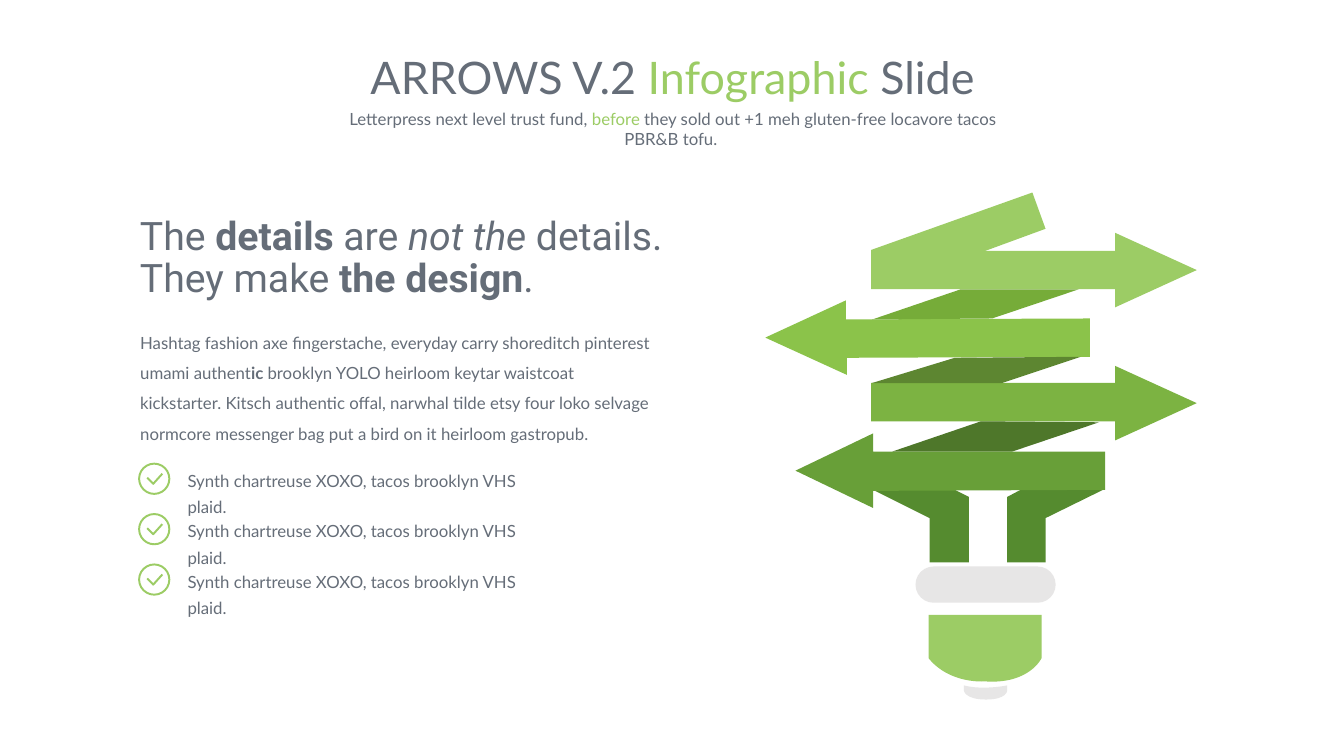
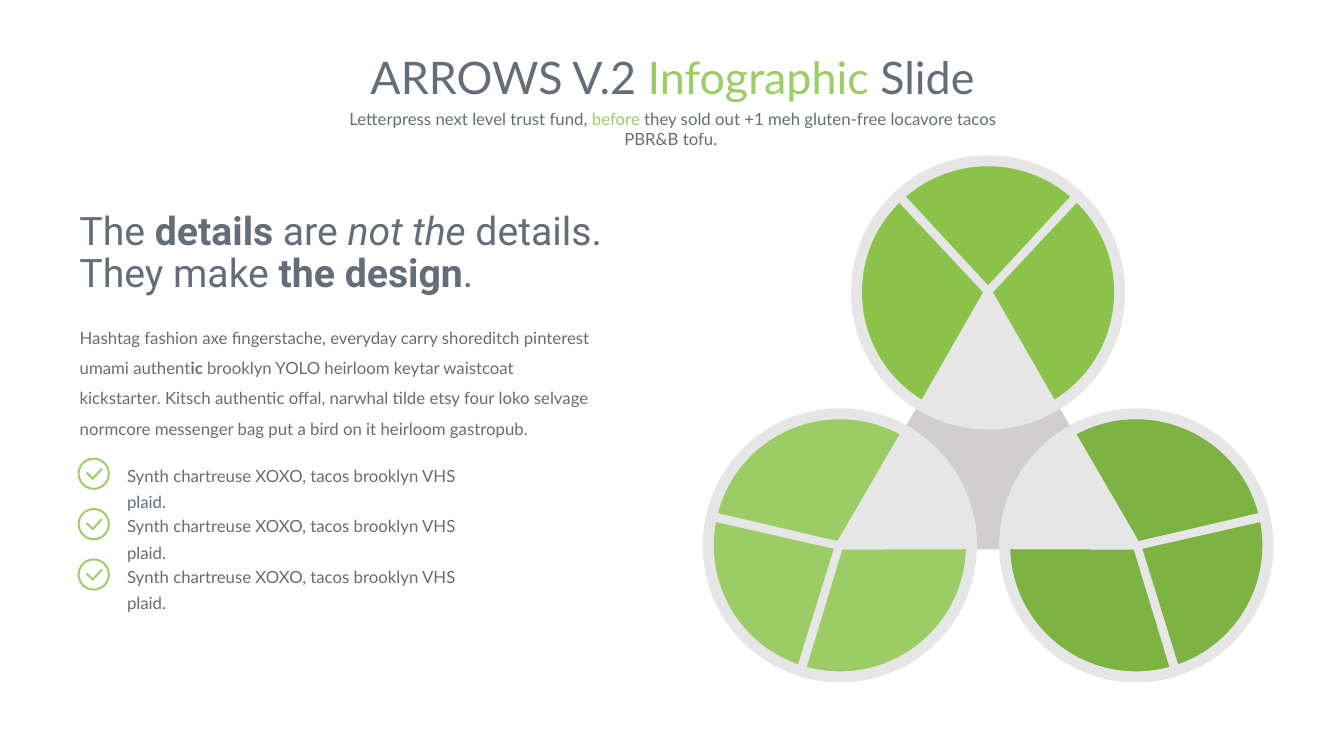
from dataclasses import dataclass
from math import cos, radians, sin, tan
from typing import NamedTuple

from lxml import etree
from pptx import Presentation
from pptx.dml.color import RGBColor
from pptx.enum.shapes import MSO_SHAPE
from pptx.enum.text import MSO_ANCHOR, MSO_AUTO_SIZE, PP_ALIGN
from pptx.oxml.ns import qn
from pptx.util import Inches, Pt

OVAL, PILL = MSO_SHAPE.OVAL, MSO_SHAPE.ROUNDED_RECTANGLE
TOP, FIXED = MSO_ANCHOR.TOP, MSO_AUTO_SIZE.NONE
LEFT, MID = PP_ALIGN.LEFT, PP_ALIGN.CENTER

COLORS = {
    "ink": "656D78", "white": "FFFFFF", "pale": "E7E6E6", "gray": "D0CECE",
    "light": "9CCC65", "lime": "8BC34A", "leaf": "7CB342", "moss": "689F38",
    "stem": "558B2F", "fold1": "76AC39", "fold2": "5D8631", "fold3": "4E772A",
}


class Run(NamedTuple):
    text: str
    color: str = "ink"
    bold: bool = False
    italic: bool = False


@dataclass
class Part:
    """An outline: pairs are corners, six numbers are a cubic curve."""
    fill: str
    points: list


@dataclass
class Disc:
    x: float
    y: float
    turn: int
    fill: str


class Slice(NamedTuple):
    dx: float
    dy: float
    start: float
    end: float


TITLE = [Run("ARROWS V.2 "), Run("Infographic ", "light"), Run("Slide")]
LEAD = [
    Run("Letterpress next level trust fund, "), Run("before", "light"),
    Run(" they sold out +1 meh gluten-free locavore tacos PBR&B tofu. "),
]
QUOTE = [
    Run("The "), Run("details", bold=True), Run(" are "),
    Run("not the ", italic=True), Run("details. They make "),
    Run("the design", bold=True), Run("."),
]
STORY = [
    Run("Hashtag fashion axe fingerstache, everyday carry shoreditch pinterest "
        "umami authent"),
    Run("ic ", bold=True),
    Run("brooklyn YOLO heirloom keytar waistcoat kickstarter. Kitsch authentic "
        "offal, narwhal tilde etsy four loko selvage normcore messenger bag "
        "put a bird on it heirloom gastropub."),
]
ITEM = [Run("Synth chartreuse XOXO, tacos brooklyn VHS plaid.")]
COUNT, STEP = 3, 0.5


# Text
def write(para, text: str, *, size=12, font="Lato", color="ink",
          bold=False, italic=False) -> None:
    run = para.add_run()
    run.text = text
    face = run.font
    face.name, face.size = font, Pt(size)
    face.bold, face.italic = bold, italic
    face.color.rgb = RGBColor.from_string(COLORS[color])


def bare(para) -> None:
    """Drop the bullet and its indent."""
    props = para._p.get_or_add_pPr()
    props.set("marL", "0")
    props.set("indent", "0")
    etree.SubElement(props, qn("a:buNone"))


def fill_in(shape, box: tuple, runs: list, align=LEFT, space=1.0,
            **style) -> None:
    shape.left, shape.top, shape.width, shape.height = map(Inches, box)
    frame = shape.text_frame
    frame.word_wrap, frame.auto_size = True, FIXED
    frame.vertical_anchor = TOP
    para = frame.paragraphs[0]
    bare(para)
    para.alignment, para.line_spacing = align, space
    para.space_before = Pt(0)
    for run in runs:
        write(para, run.text, color=run.color, bold=run.bold,
              italic=run.italic, **style)


def add_text(slide, box: tuple, runs: list, **style) -> None:
    fill_in(slide.shapes.add_textbox(0, 0, 0, 0), box, runs, **style)


# Shapes
def paint(shape, fill: str, line: str = "") -> None:
    shape.shadow.inherit = False
    shape.fill.solid()
    shape.fill.fore_color.rgb = RGBColor.from_string(COLORS[fill])
    if line:
        shape.line.color.rgb = RGBColor.from_string(COLORS[line])
        shape.line.width = Pt(1.38)
    else:
        shape.line.fill.background()


def add_form(slide, kind, x: float, y: float, wide: float, high: float,
             fill: str, line: str = ""):
    shape = slide.shapes.add_shape(
        kind, Inches(x), Inches(y), Inches(wide), Inches(high))
    paint(shape, fill, line)
    return shape


def draw(slide, points: list, fill: str, line: str = "", close=True) -> None:
    spots = [(Inches(p[i]), Inches(p[i + 1]))
             for p in points for i in range(0, len(p), 2)]
    pen = slide.shapes.build_freeform(*spots[0], scale=1.0)
    pen.add_line_segments(spots[1:], close=close)
    shape = pen.convert_to_shape()
    # Join three steps into one cubic curve
    steps = iter(list(shape._element.iter(qn("a:lnTo"))))
    for point in points[1:]:
        step = next(steps)
        if len(point) == 6:
            bend = etree.Element(qn("a:cubicBezTo"))
            step.addprevious(bend)
            for node in (step, next(steps), next(steps)):
                bend.append(node[0])
                node.getparent().remove(node)
    paint(shape, fill, line)


# Shared title and copy
def add_head(slide) -> None:
    fill_in(slide.shapes.title, (2.54, 0.44, 8.26, 0.64), TITLE,
            align=MID, size=32)
    add_text(slide, (3.2, 1.03, 6.95, 0.3), LEAD, align=MID)


def add_copy(slide, x: float, y: float) -> None:
    add_text(slide, (x, y, 5.46, 0.95), QUOTE, space=0.9, size=28,
             font="Roboto")
    *rows, story = list(slide.placeholders)[1:]
    fill_in(story, (x, y + 1.05, 5.32, 1.31), STORY, space=1.5)
    # Check list
    for i in range(COUNT):
        top = y + 2.5 + i * STEP
        fill_in(rows[i], (x + 0.47, top - 0.04, 3.55, 0.34), ITEM, space=1.3)
        add_form(slide, OVAL, x + 0.09, top, 0.3, 0.3, "white", "light")
        tick = [(x + 0.17, top + 0.14), (x + 0.23, top + 0.2),
                (x + 0.32, top + 0.1)]
        draw(slide, tick, "white", "light", close=False)


# Lamp made of arrows
LAMP = [
    Part("light", [(11.87, 2.68), (11.06, 3.05), (11.06, 2.87), (8.64, 2.87),
                   (8.64, 2.49), (11.06, 2.49), (11.06, 2.31)]),
    Part("leaf", [(11.87, 4), (11.06, 4.37), (11.06, 4.18), (8.64, 4.18),
                  (8.64, 3.8), (11.06, 3.8), (11.06, 3.63)]),
    Part("stem", [(10.96, 4.85), (10.37, 5.14), (10.37, 5.58), (9.99, 5.58),
                  (9.99, 4.93), (10.16, 4.84)]),
    Part("lime", [(7.59, 3.35), (8.39, 2.98), (8.39, 3.17), (10.81, 3.16),
                  (10.81, 3.54), (8.4, 3.55), (8.4, 3.72)]),
    Part("fold2", [(10.72, 3.54), (9.94, 3.8), (8.65, 3.8), (9.47, 3.55)]),
    Part("fold1", [(10.7, 2.87), (9.84, 3.16), (8.65, 3.17), (9.53, 2.87)]),
    Part("light", [(10.24, 1.91), (10.37, 2.27), (9.77, 2.49), (8.64, 2.49),
                   (8.64, 2.48)]),
    # Foot, left stem and cap
    Part("pale", [(9.99, 6.8), (9.99, 6.85),
                  (9.99, 6.85, 9.99, 6.94, 9.78, 6.94),
                  (9.57, 6.94, 9.56, 6.85, 9.56, 6.85), (9.56, 6.8),
                  (9.75, 6.85, 9.99, 6.8, 9.99, 6.8)]),
    Part("stem", [(9.61, 4.93), (9.61, 5.58), (9.22, 5.58), (9.22, 5.14),
                  (8.64, 4.85), (9.43, 4.84)]),
    Part("light", [(10.33, 6.53), (10.33, 6.53, 10.21, 6.79, 9.77, 6.76),
                   (9.77, 6.76, 9.42, 6.79, 9.21, 6.53), (9.21, 6.1),
                   (10.33, 6.1)]),
    Part("fold3", [(8.85, 4.48), (9.73, 4.18), (10.9, 4.19), (10.04, 4.48)]),
    Part("moss", [(7.89, 4.67), (8.66, 4.3), (8.66, 4.48), (10.96, 4.48),
                  (10.96, 4.86), (8.66, 4.87), (8.66, 5.04)]),
]


def add_lamp(slide) -> None:
    for part in LAMP:
        draw(slide, part.points, part.fill)
    collar = add_form(slide, PILL, 9.08, 5.62, 1.39, 0.36, "pale")
    collar.adjustments[0] = 0.5


# Three discs, each a turned set of slices
RIM, CORE = 1.36, 1.25
DISCS = [Disc(9.8, 2.9, 0, "lime"), Disc(8.33, 5.41, 240, "light"),
         Disc(11.27, 5.41, 120, "leaf")]
SLICES = [Slice(0.05, 0, -45.2, 58.2), Slice(-0.05, 0, 121.8, 225.2),
          Slice(0, -0.07, 229.4, 310.6)]


def wedge(disc: Disc, cut: Slice) -> list:
    turn = radians(disc.turn)
    tip = (disc.x + cut.dx * cos(turn) - cut.dy * sin(turn),
           disc.y + cut.dx * sin(turn) + cut.dy * cos(turn))
    pull = 4 / 3 * tan(radians(cut.end - cut.start) / 4)

    def spot(angle: float, lean: float) -> tuple:
        a = turn + radians(angle)
        return (disc.x + CORE * (cos(a) - lean * sin(a)),
                disc.y + CORE * (sin(a) + lean * cos(a)))

    arc = spot(cut.start, pull) + spot(cut.end, -pull) + spot(cut.end, 0)
    return [spot(cut.start, 0), arc, tip]


def add_discs(slide) -> None:
    draw(slide, [(9.8, 2.83), (11.33, 5.45), (8.27, 5.45)], "gray")
    for disc in DISCS:
        add_form(slide, OVAL, disc.x - RIM, disc.y - RIM, 2 * RIM, 2 * RIM,
                 "pale")
        for cut in SLICES:
            draw(slide, wedge(disc, cut), disc.fill)


def main() -> None:
    deck = Presentation()
    deck.slide_width, deck.slide_height = Inches(13.33), Inches(7.5)
    for x, y, art in ((1.29, 2.1, add_lamp), (0.69, 2.05, add_discs)):
        slide = deck.slides.add_slide(deck.slide_layouts[4])
        add_head(slide)
        art(slide)
        add_copy(slide, x, y)
    deck.save("out.pptx")


if __name__ == "__main__":
    main()
